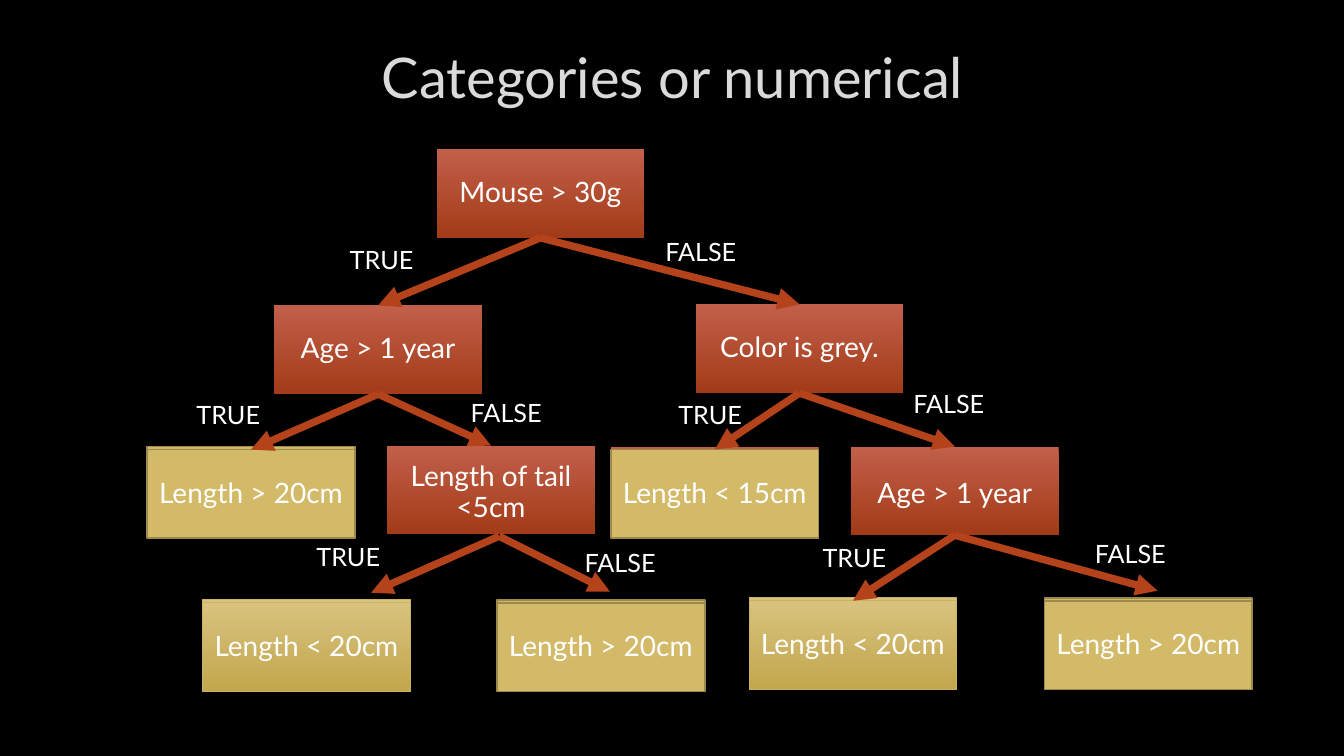
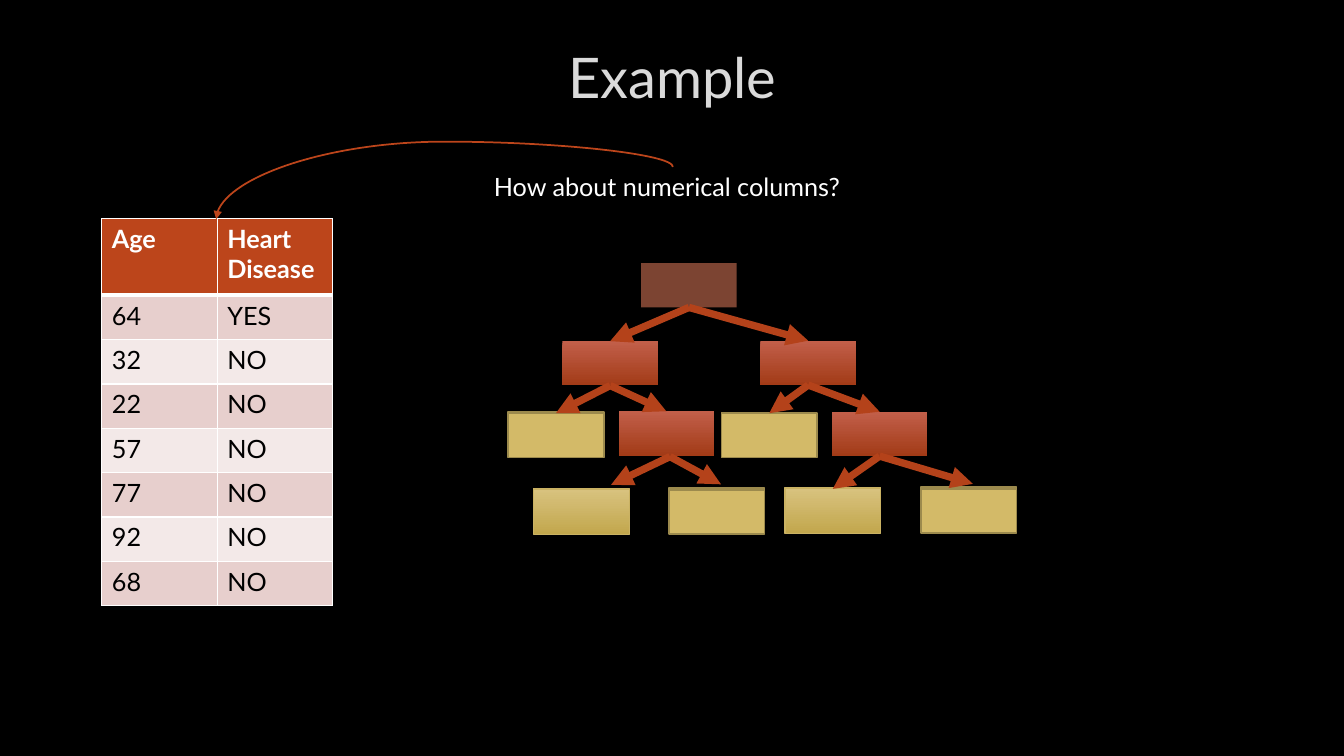
from dataclasses import dataclass, replace
from typing import Optional

from lxml.etree import SubElement
from pptx import Presentation
from pptx.dml.color import RGBColor
from pptx.enum.shapes import MSO_CONNECTOR as Line, MSO_SHAPE as Shape
from pptx.enum.text import MSO_ANCHOR as Anchor, PP_ALIGN as Align
from pptx.oxml.ns import qn
from pptx.util import Inches, Pt


@dataclass(frozen=True)
class Theme:
    font: str = "Lato"
    background: str = "000000"
    title: str = "DADADA"
    text: str = "FFFFFF"
    arrow: str = "B4421A"
    accent: str = "BC451B"
    cell_text: str = "000000"
    bands: tuple = ("E7CFCD", "F3E9E8")
    title_size: int = 40
    node_size: int = 20
    body_size: int = 18
    arrow_width: float = 5.25
    curve_width: float = 1.25


@dataclass(frozen=True)
class NodeStyle:
    colors: tuple
    line: Optional[str] = None
    line_width: float = 0


@dataclass(frozen=True)
class Node:
    text: str
    left: float
    top: float
    style: NodeStyle
    back: Optional[NodeStyle] = None  # plate that peeks out above the node
    text_drop: float = 0


@dataclass(frozen=True)
class Arrow:
    parent: str
    child: str
    start: Optional[tuple] = None  # free ends; otherwise joined to the nodes
    end: Optional[tuple] = None


@dataclass(frozen=True)
class Label:
    text: str
    left: float
    top: float


@dataclass(frozen=True)
class View:
    """Places tree coordinates on a page, measured from the root node."""
    left: float
    top: float
    x_scale: float
    y_scale: float

    def x(self, value: float) -> int:
        return Inches(self.left + (value - ROOT_LEFT) * self.x_scale)

    def y(self, value: float) -> int:
        return Inches(self.top + (value - ROOT_TOP) * self.y_scale)


THEME = Theme()
QUESTION = NodeStyle(("C25F4A", "A23B17"))
MUTED = NodeStyle(("7C4432",))
FLAT = NodeStyle(("D3BA68",), "9C8A4D", 1.25)
GLOSSY = NodeStyle(("D8C27E", "C2A74D"), "CAB263", 0.75)

ROOT_LEFT, ROOT_TOP = 4.33, 1.48
NODE_WIDTH, NODE_HEIGHT = 2.06, 0.88
PLATE_RISE = 0.03
FULL_VIEW = View(ROOT_LEFT, ROOT_TOP, 1, 1)
SMALL_VIEW = View(6.36, 2.61, 0.46, 0.5)

NODES = {
    "mouse": Node("Mouse > 30g", ROOT_LEFT, ROOT_TOP, QUESTION),
    "age": Node("Age > 1 year", 2.72, 3.03, QUESTION),
    "color": Node("Color is grey.", 6.9, 3.02, QUESTION),
    "age long": Node("Length > 20cm", 1.46, 4.46, FLAT, FLAT),
    "tail": Node("Length of tail <5cm", 3.84, 4.42, QUESTION, text_drop=0.03),
    "color short": Node("Length < 15cm", 6.06, 4.46, FLAT, QUESTION),
    "color age": Node("Age > 1 year", 8.44, 4.43, QUESTION, text_drop=0.03),
    "tail short": Node("Length < 20cm", 2.01, 5.98, GLOSSY, GLOSSY),
    "tail long": Node("Length > 20cm", 4.93, 5.98, FLAT, FLAT),
    "grey short": Node("Length < 20cm", 7.43, 5.96, GLOSSY, GLOSSY),
    "grey long": Node("Length > 20cm", 10.36, 5.96, FLAT, FLAT),
}
ARROWS = [
    Arrow("mouse", "age"),
    Arrow("mouse", "color"),
    Arrow("age", "age long"),
    Arrow("age", "tail"),
    Arrow("color", "color short"),
    Arrow("color", "color age"),
    Arrow("tail", "tail short", (4.95, 5.32), (3.68, 5.88)),
    Arrow("tail", "tail long", (4.95, 5.32), (6.05, 5.87)),
    Arrow("color age", "grey short"),
    Arrow("color age", "grey long", end=(11.48, 5.86)),
]
LABELS = [
    Label("TRUE", 3.37, 2.37), Label("FALSE", 6.5, 2.3),
    Label("TRUE", 1.85, 3.91), Label("FALSE", 4.57, 3.89),
    Label("TRUE", 6.63, 3.91), Label("FALSE", 8.96, 3.8),
    Label("TRUE", 3.04, 5.32), Label("FALSE", 5.7, 5.38),
    Label("TRUE", 8.06, 5.33), Label("FALSE", 10.76, 5.29),
]
PATIENTS = [
    ("Age", "Heart Disease"), ("64", "YES"), ("32", "NO"), ("22", "NO"),
    ("57", "NO"), ("77", "NO"), ("92", "NO"), ("68", "NO"),
]


def rgb(value: str) -> RGBColor:
    return RGBColor.from_string(value)


def format_text(frame, size: int, color: str, bold: bool = False) -> None:
    for para in frame.paragraphs:
        for span in para.runs:
            span.font.name = THEME.font
            span.font.size = Pt(size)
            span.font.bold = bold
            span.font.color.rgb = rgb(color)


def add_text(page, text: str, left: float, top: float, width: float,
             height: float = 0.4, size: int = THEME.body_size,
             color: str = THEME.text, wrap: bool = True):
    box = page.shapes.add_textbox(Inches(left), Inches(top),
                                  Inches(width), Inches(height))
    box.text_frame.text = text
    box.text_frame.word_wrap = wrap
    format_text(box.text_frame, size, color)
    return box


def add_page(deck, title: str):
    page = deck.slides.add_slide(deck.slide_layouts[6])
    box = add_text(page, title, 1.01, 0.23, 11.32, 1.06,
                   THEME.title_size, THEME.title)
    box.text_frame.vertical_anchor = Anchor.MIDDLE
    box.text_frame.paragraphs[0].alignment = Align.CENTER
    return page


def add_rectangle(page, view: View, left: float, top: float,
                  style: NodeStyle):
    box = page.shapes.add_shape(
        Shape.RECTANGLE, view.x(left), view.y(top),
        Inches(NODE_WIDTH * view.x_scale), Inches(NODE_HEIGHT * view.y_scale))
    box.shadow.inherit = False
    if len(style.colors) == 1:
        box.fill.solid()
        box.fill.fore_color.rgb = rgb(style.colors[0])
    else:
        box.fill.gradient()
        box.fill.gradient_angle = 270
        for stop, color in zip(box.fill.gradient_stops, style.colors):
            stop.color.rgb = rgb(color)
    if style.line:
        box.line.color.rgb = rgb(style.line)
        box.line.width = Pt(style.line_width)
    else:
        box.line.fill.background()
    return box


def add_node(page, view: View, node: Node, with_text: bool):
    if node.back:
        add_rectangle(page, view, node.left, node.top - PLATE_RISE, node.back)
    box = add_rectangle(page, view, node.left, node.top, node.style)
    if with_text:
        frame = box.text_frame
        frame.text = node.text
        frame.word_wrap = True
        frame.vertical_anchor = Anchor.MIDDLE
        frame.margin_left = frame.margin_right = Inches(0.04)
        frame.margin_bottom = Inches(0.04)
        frame.margin_top = Inches(0.04 + 2 * node.text_drop)
        para = frame.paragraphs[0]
        para.alignment = Align.CENTER
        para.line_spacing = 0.9
        para.space_after = Pt(7)
        format_text(frame, THEME.node_size, THEME.text)
    return box


def style_arrow(line, color: str, width: float) -> None:
    line.line.color.rgb = rgb(color)
    line.line.width = Pt(width)
    properties = line.element.spPr
    SubElement(properties.find(qn("a:ln")), qn("a:tailEnd"), type="triangle")
    SubElement(properties, qn("a:effectLst"))


def add_tree(page, view: View, nodes: dict, with_text: bool) -> None:
    boxes = {name: add_node(page, view, node, with_text)
             for name, node in nodes.items()}
    for arrow in ARROWS:
        start = arrow.start or (ROOT_LEFT, ROOT_TOP)
        end = arrow.end or (ROOT_LEFT, ROOT_TOP)
        line = page.shapes.add_connector(
            Line.STRAIGHT, view.x(start[0]), view.y(start[1]),
            view.x(end[0]), view.y(end[1]))
        if not arrow.start:
            line.begin_connect(boxes[arrow.parent], 2)
        if not arrow.end:
            line.end_connect(boxes[arrow.child], 0)
        style_arrow(line, THEME.arrow, THEME.arrow_width)


def add_curve(page) -> None:
    """Draw the arc from the question over to the table."""
    curve = page.shapes.add_connector(
        Line.CURVE, Inches(4.15), Inches(-0.35), Inches(4.67), Inches(4.18))
    style_arrow(curve, THEME.accent, THEME.curve_width)
    properties = curve.element.spPr
    frame = properties.find(qn("a:xfrm"))
    for name, value in (("rot", "16200000"), ("flipH", "1"), ("flipV", "1")):
        frame.set(name, value)
    guides = properties.find(qn("a:prstGeom")).find(qn("a:avLst"))
    SubElement(guides, qn("a:gd"), name="adj1", fmla="val -48100")


def add_borders(cell, top: float, bottom: float) -> None:
    properties = cell._tc.get_or_add_tcPr()
    for side, width in (("L", 1), ("R", 1), ("T", top), ("B", bottom)):
        line = SubElement(properties, qn(f"a:ln{side}"), w=str(Pt(width)))
        fill = SubElement(line, qn("a:solidFill"))
        SubElement(fill, qn("a:srgbClr"), val=THEME.text)


def add_patients(page) -> None:
    table = page.shapes.add_table(
        len(PATIENTS), 2, Inches(1.01), Inches(2.17),
        Inches(2.29), Inches(3.85)).table
    for row, values in enumerate(PATIENTS):
        header = row == 0
        table.rows[row].height = Inches(0.76 if header else 0.44)
        for column, value in enumerate(values):
            cell = table.cell(row, column)
            cell.text_frame.text = value
            format_text(cell.text_frame, THEME.body_size,
                        THEME.text if header else THEME.cell_text, header)
            add_borders(cell, 3 if row == 1 else 1, 3 if header else 1)
            cell.fill.solid()
            cell.fill.fore_color.rgb = rgb(
                THEME.accent if header else THEME.bands[(row - 1) % 2])


def build_categories(deck) -> None:
    page = add_page(deck, "Categories or numerical")
    add_tree(page, FULL_VIEW, NODES, True)
    for label in LABELS:
        add_text(page, label.text, label.left, label.top, 1.83)


def build_example(deck) -> None:
    page = add_page(deck, "Example")
    add_patients(page)
    nodes = {**NODES,
             "mouse": replace(NODES["mouse"], style=MUTED),
             "age": replace(NODES["age"], left=2.63)}
    add_tree(page, SMALL_VIEW, nodes, False)
    add_text(page, "How about numerical columns?", 4.8, 1.65, 3.75, wrap=False)
    add_curve(page)


def main() -> None:
    deck = Presentation()
    deck.slide_width, deck.slide_height = Inches(13.33), Inches(7.5)
    background = deck.slide_master.background.fill
    background.solid()
    background.fore_color.rgb = rgb(THEME.background)
    build_categories(deck)
    build_example(deck)
    deck.save("out.pptx")


if __name__ == "__main__":
    main()
